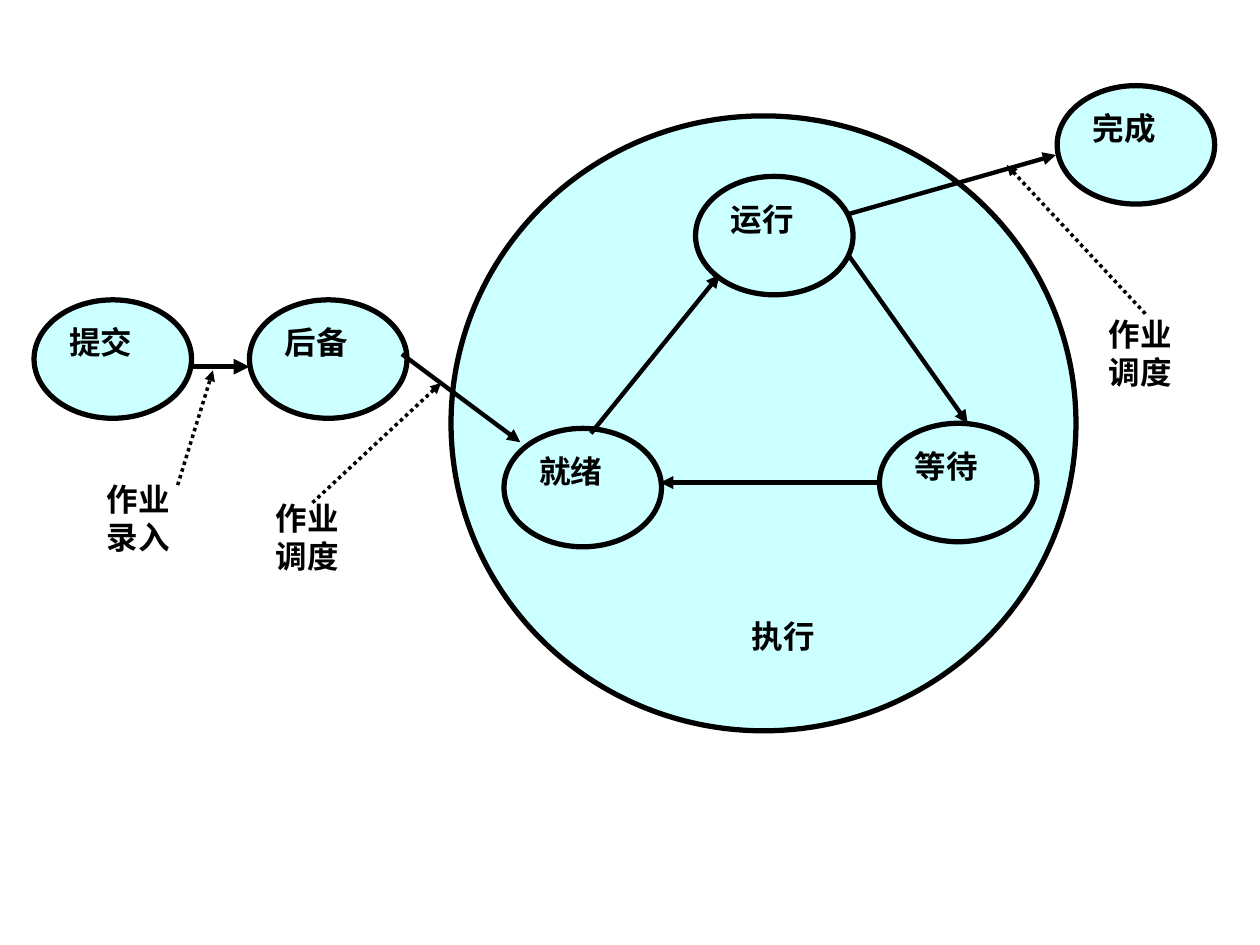
from lxml.etree import SubElement
from pptx import Presentation
from pptx.dml.color import RGBColor
from pptx.enum.dml import MSO_LINE
from pptx.enum.shapes import MSO_CONNECTOR, MSO_SHAPE
from pptx.enum.text import MSO_ANCHOR, PP_ALIGN
from pptx.oxml.ns import qn
from pptx.util import Inches, Pt

BLACK = "000000"
PALE_CYAN = "CCFFFF"
STATE_SIZE = (1.25, 0.94)

STATES = [
    ("运行", 5.52, 1.4),
    ("就绪", 4, 3.4),
    ("完成", 8.39, 0.68),
    ("等待", 6.98, 3.36),
    ("后备", 1.98, 2.38),
    ("提交", 0.27, 2.38),
]
LABELS = [
    ("作业\n调度", 2.09, 3.91, 0.99, 1.03),
    ("作业\n调度", 8.7, 2.45, 0.94, 1.06),
    ("作业\n录入", 0.75, 3.76, 1.02, 1.09),
    ("执行", 5.87, 4.85, 1.1, 0.55),
]
TRANSITIONS = [
    ((1.53, 2.91), (1.98, 2.91), 3),
    ((6.73, 2.02), (7.68, 3.36), 2.5),
    ((6.97, 3.83), (5.24, 3.83), 2.5),
    ((4.69, 3.44), (5.71, 2.18), 2.5),
    ((3.19, 2.81), (4.13, 3.51), 2.5),
    ((6.73, 1.7), (8.38, 1.23), 2.5),
]
LABEL_POINTERS = [
    ((1.41, 3.85), (1.69, 2.94)),
    ((2.48, 3.99), (3.5, 3.04)),
    ((9.09, 2.49), (7.99, 1.31)),
]


def color(hex_value):
    return RGBColor.from_string(hex_value)


def write_text(shape, text):
    frame = shape.text_frame
    frame.text = text
    frame.word_wrap = True
    frame.vertical_anchor = MSO_ANCHOR.TOP
    for paragraph in frame.paragraphs:
        paragraph.alignment = PP_ALIGN.JUSTIFY
        for run in paragraph.runs:
            run.font.name = "Arial"
            run.font.size = Pt(18)
            run.font.bold = True
            run.font.color.rgb = color(BLACK)


def add_ellipse(page, left, top, width, height):
    ellipse = page.shapes.add_shape(
        MSO_SHAPE.OVAL, Inches(left), Inches(top), Inches(width), Inches(height))
    ellipse.shadow.inherit = False
    ellipse.fill.solid()
    ellipse.fill.fore_color.rgb = color(PALE_CYAN)
    ellipse.line.color.rgb = color(BLACK)
    ellipse.line.width = Pt(3)
    return ellipse


def add_label(page, text, left, top, width, height):
    box = page.shapes.add_textbox(
        Inches(left), Inches(top), Inches(width), Inches(height))
    write_text(box, text)


def add_arrow(page, start, end, weight, dash=None):
    arrow = page.shapes.add_connector(
        MSO_CONNECTOR.STRAIGHT, *(Inches(value) for value in start + end))
    arrow.line.color.rgb = color(BLACK)
    arrow.line.width = Pt(weight)
    if dash:
        arrow.line.dash_style = dash
    properties = arrow.element.spPr
    SubElement(properties.find(qn("a:ln")), qn("a:tailEnd"), type="triangle")
    SubElement(properties, qn("a:effectLst"))


def main():
    deck = Presentation()
    deck.slide_width, deck.slide_height = Inches(10), Inches(7.5)
    page = deck.slides.add_slide(deck.slide_layouts[6])

    add_ellipse(page, 3.58, 0.92, 4.96, 4.88)
    for name, left, top in STATES:
        write_text(add_ellipse(page, left, top, *STATE_SIZE), name)
    for label in LABELS:
        add_label(page, *label)
    for start, end, weight in TRANSITIONS:
        add_arrow(page, start, end, weight)
    for start, end in LABEL_POINTERS:
        add_arrow(page, start, end, 2, MSO_LINE.ROUND_DOT)

    deck.save("out.pptx")


if __name__ == "__main__":
    main()
